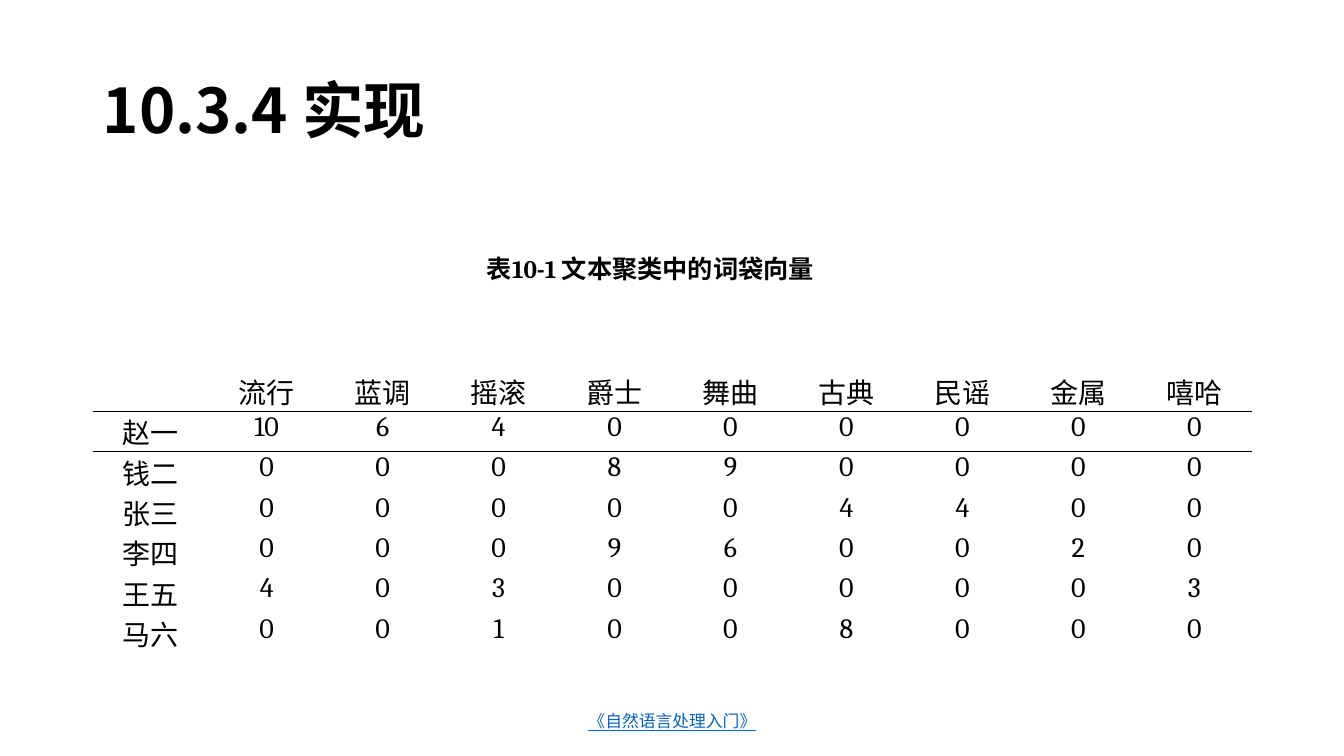
from lxml import etree
from pptx import Presentation
from pptx import util as u
from pptx.dml.color import RGBColor
from pptx.enum import text
from pptx.oxml import ns

COLOURS = {"ink": "000000", "link": "0563C1"}
SANS, SERIF = "Noto Sans CJK SC", "Cambria"
PLAIN_TABLE = "{2D5ABB26-0587-4C30-8999-92F81FD0307C}"

GENRES = ["流行", "蓝调", "摇滚", "爵士", "舞曲", "古典", "民谣", "金属", "嘻哈"]
LISTENERS = {
    "赵一": [10, 6, 4, 0, 0, 0, 0, 0, 0],
    "钱二": [0, 0, 0, 8, 9, 0, 0, 0, 0],
    "张三": [0, 0, 0, 0, 0, 4, 4, 0, 0],
    "李四": [0, 0, 0, 9, 6, 0, 0, 2, 0],
    "王五": [4, 0, 3, 0, 0, 0, 0, 0, 3],
    "马六": [0, 0, 1, 0, 0, 8, 0, 0, 0],
}


def set_all(target, values):
    """Set each named attribute of target."""
    for name, value in values.items():
        setattr(target, name, value)


class SlideBuilder:
    def __init__(self, slide):
        self.slide = slide

    def add_words(self, paragraph, words, size, colour="ink", latin=SANS, **font_format):
        run = paragraph.add_run()
        run.text = words
        set_all(run.font, {"size": u.Pt(size), "name": latin, **font_format})
        run.font.color.rgb = RGBColor.from_string(COLOURS[colour])
        east_asian = etree.SubElement(run.font._element, ns.qn("a:ea"))
        east_asian.set("typeface", SANS)

    def text_box(self, box, words, size, frame_format=None, paragraph_format=None, **font_format):
        shape = self.slide.shapes.add_textbox(*map(u.Inches, box))
        frame = shape.text_frame
        set_all(frame, {"word_wrap": True, **(frame_format or {})})
        paragraph = frame.paragraphs[0]
        set_all(paragraph, paragraph_format or {})
        self.add_words(paragraph, words, size, **font_format)

    def rule(self, cell, side):
        """Draw a thin line on one side of a cell: lnT or lnB."""
        line = etree.Element(ns.qn(f"a:{side}"), w=str(u.Pt(1)))
        fill = etree.SubElement(line, ns.qn("a:solidFill"))
        etree.SubElement(fill, ns.qn("a:srgbClr"), val=COLOURS["ink"])
        cell._tc.get_or_add_tcPr().insert(0, line)

    def table(self, left, top, column_width, row_height, rows, size):
        row_count, column_count = len(rows), len(rows[0])
        box = (left, top, column_width * column_count, row_height * row_count)
        table = self.slide.shapes.add_table(
            row_count, column_count, *map(u.Inches, box)).table
        set_all(table, {"first_row": False, "horz_banding": False})
        table._tbl.tblPr.find(ns.qn("a:tableStyleId")).text = PLAIN_TABLE
        for row_index, values in enumerate(rows):
            for column_index, value in enumerate(values):
                cell = table.cell(row_index, column_index)
                set_all(cell, {
                    "margin_left": u.Inches(0.07), "margin_right": u.Inches(0.07),
                    "margin_top": 0, "margin_bottom": 0,
                    "vertical_anchor": text.MSO_ANCHOR.TOP if row_index
                    else text.MSO_ANCHOR.BOTTOM,
                })
                cell.fill.background()
                if row_index < 2:
                    self.rule(cell, "lnT" if row_index else "lnB")
                paragraph = cell.text_frame.paragraphs[0]
                paragraph.alignment = text.PP_ALIGN.CENTER
                if value == "":
                    paragraph.font.size = u.Pt(size)
                else:
                    latin = SERIF if isinstance(value, int) else SANS
                    self.add_words(paragraph, str(value), size, latin=latin)


def main():
    presentation = Presentation()
    set_all(presentation, {"slide_width": u.Inches(13.33), "slide_height": u.Inches(7.5)})
    builder = SlideBuilder(presentation.slides.add_slide(presentation.slide_layouts[6]))

    middle = {"vertical_anchor": text.MSO_ANCHOR.MIDDLE}
    builder.text_box((0.92, 0.4, 11.5, 1.45), "10.3.4 实现", 44, middle,
                     {"line_spacing": 0.9}, bold=True)
    rows = [["", *GENRES]] + [[name, *counts] for name, counts in LISTENERS.items()]
    builder.table(0.92, 3.68, 1.15, 0.4, rows, 20)
    builder.text_box((4.42, 6.95, 4.5, 0.4), "《自然语言处理入门》", 12, middle,
                     {"alignment": text.PP_ALIGN.CENTER}, colour="link", underline=True)
    builder.text_box((4.73, 2.46, 3.59, 0.4), "表10-1 文本聚类中的词袋向量", 18,
                     {"word_wrap": False, "auto_size": text.MSO_AUTO_SIZE.SHAPE_TO_FIT_TEXT},
                     latin=SERIF, bold=True)
    presentation.save("out.pptx")


if __name__ == "__main__":
    main()
